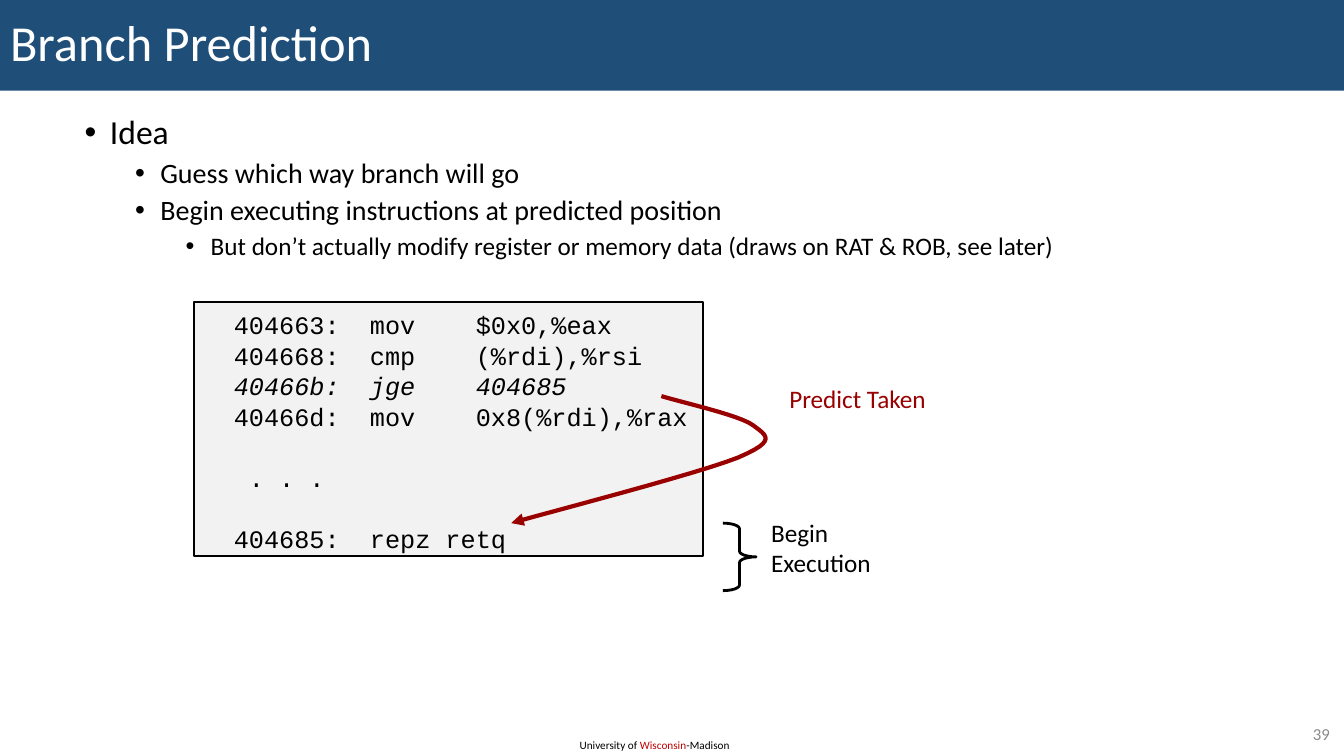
from lxml import etree
from pptx import Presentation
from pptx.dml.color import RGBColor
from pptx.enum.shapes import MSO_SHAPE
from pptx.enum.text import MSO_ANCHOR, MSO_AUTO_SIZE, PP_ALIGN
from pptx.oxml.ns import qn
from pptx.util import Pt

PX = 9144
BLACK = RGBColor(0x00, 0x00, 0x00)
WHITE = RGBColor(0xFF, 0xFF, 0xFF)
NAVY = RGBColor(0x1F, 0x4E, 0x79)
RED = RGBColor(0xC0, 0x00, 0x00)
MAROON = RGBColor(0x99, 0x00, 0x00)
GREY = RGBColor(0x8C, 0x8C, 0x8C)
PALE = RGBColor(0xF2, 0xF2, 0xF2)
SANS, MONO = "Calibri", "Courier New"
RECT, BRACE = MSO_SHAPE.RECTANGLE, MSO_SHAPE.RIGHT_BRACE
LEFT, RIGHT = PP_ALIGN.LEFT, PP_ALIGN.RIGHT
TOP, MIDDLE = MSO_ANCHOR.TOP, MSO_ANCHOR.MIDDLE
FIXED = MSO_AUTO_SIZE.NONE

IDEAS = [
    (0, 24, "Idea"),
    (1, 20, "Guess which way branch will go"),
    (1, 20, "Begin executing instructions at predicted position"),
    (2, 18, "But don’t actually modify register or memory data "
            "(draws on RAT & ROB, see later)"),
]
CODE = [
    ("  404663:  mov    $0x0,%eax", False, 0),
    ("  404668:  cmp    (%rdi),%rsi", False, 0),
    ("  40466b:  jge    404685", True, 0),
    ("  40466d:  mov    0x8(%rdi),%rax", False, 0),
    ("   . . .", False, 1),
    ("  404685:  repz retq", False, 1),
]
PITCH = 21.8
START = (507, 519)
CURVES = [
    [(545, 508), (692, 470), (732, 454)],
    [(772, 437), (760, 432), (747, 422)],
    [(734, 412), (675, 399), (656, 393)],
]
STEPS = 12


def place(shape, box):
    shape.left, shape.top, shape.width, shape.height = (v * PX for v in box)


def setup(frame, wrap=True, anchor=TOP):
    frame.auto_size = FIXED
    frame.word_wrap = wrap
    frame.vertical_anchor = anchor


def lines(frame, count):
    return [frame.paragraphs[0]] + [frame.add_paragraph() for _ in range(count - 1)]


def add_run(para, text, size, color=BLACK, font=SANS, italic=False):
    run = para.add_run()
    run.text = text
    run.font.size = Pt(size)
    run.font.name = font
    run.font.italic = italic
    run.font.color.rgb = color


def add_label(slide, box, rows, size, wrap=False, align=LEFT, anchor=TOP):
    frame = slide.shapes.add_textbox(*(v * PX for v in box)).text_frame
    setup(frame, wrap, anchor)
    for para, row in zip(lines(frame, len(rows)), rows):
        para.alignment = align
        for text, color in row:
            add_run(para, text, size, color)


def add_title(slide, text):
    title = slide.shapes.title
    place(title, (0, 0, 1333, 90))
    title.fill.solid()
    title.fill.fore_color.rgb = NAVY
    setup(title.text_frame, anchor=MIDDLE)
    para = title.text_frame.paragraphs[0]
    para.alignment = LEFT
    para.line_spacing = 0.9
    add_run(para, text, 36, WHITE)


def add_bullet(para, level):
    props = para._p.get_or_add_pPr()
    props.set("marL", str((25 + 50 * level) * PX))
    props.set("indent", str(-25 * PX))
    etree.SubElement(props, qn("a:buFont"), typeface="Arial")
    etree.SubElement(props, qn("a:buChar"), char="•")


def add_list(slide, items):
    body = slide.placeholders[1]
    place(body, (74, 110, 1259, 224))
    frame = body.text_frame
    setup(frame)
    for i, (para, item) in enumerate(zip(lines(frame, len(items)), items)):
        level, size, text = item
        add_bullet(para, level)
        para.level = level
        para.line_spacing = 0.9
        para.space_before = Pt(5 if i else 0)
        add_run(para, text, size)


def add_shape(slide, kind, box, width, fill=None):
    shape = slide.shapes.add_shape(kind, *(v * PX for v in box))
    shape.shadow.inherit = False
    if fill is None:
        shape.fill.background()
    else:
        shape.fill.solid()
        shape.fill.fore_color.rgb = fill
    shape.line.color.rgb = BLACK
    shape.line.width = Pt(width)
    return shape


def add_code(slide, box, rows):
    frame = add_shape(slide, RECT, box, 1.5, PALE).text_frame
    setup(frame)
    frame.margin_top = 7 * PX
    for para, row in zip(lines(frame, len(rows)), rows):
        text, italic, gap = row
        para.alignment = LEFT
        para.line_spacing = Pt(PITCH)
        para.space_before = Pt(PITCH * gap)
        add_run(para, text, 18, font=MONO, italic=italic)


def trace(start, curves):
    points = []
    for a, b, end in curves:
        for i in range(1, STEPS + 1):
            t = i / STEPS
            u = 1 - t
            points.append(tuple(
                round(PX * (u**3 * p + 3 * u * u * t * q + 3 * u * t * t * r + t**3 * s))
                for p, q, r, s in zip(start, a, b, end)))
        start = end
    return points


def add_arrow(slide, start, curves):
    pen = slide.shapes.build_freeform(*(v * PX for v in start))
    pen.add_line_segments(trace(start, curves), close=False)
    arrow = pen.convert_to_shape()
    arrow.shadow.inherit = False
    arrow.fill.background()
    arrow.line.color.rgb = MAROON
    arrow.line.width = Pt(3)
    line = arrow.line._get_or_add_ln()
    etree.SubElement(line, qn("a:round"))
    etree.SubElement(line, qn("a:headEnd"), type="triangle")


def main():
    deck = Presentation()
    deck.slide_width, deck.slide_height = 1333 * PX, 750 * PX
    slide = deck.slides.add_slide(deck.slide_layouts[1])
    school = [("University of ", BLACK), ("Wisconsin", RED), ("-Madison", BLACK)]
    add_label(slide, (565, 728, 172, 24), [school], 8)
    add_title(slide, "Branch Prediction")
    add_label(slide, (1253, 713, 76, 29), [[("39", GREY)]], 12, True, RIGHT, MIDDLE)
    add_list(slide, IDEAS)
    add_label(slide, (773, 375, 157, 40), [[("Predict Taken", MAROON)]], 18)
    brace = add_shape(slide, BRACE, (717, 519, 33, 67), 2)
    brace.adjustments[0] = 0.17
    add_label(slide, (755, 508, 120, 71), [[("Begin", BLACK)], [("Execution", BLACK)]], 18)
    add_code(slide, (192, 300, 505, 252), CODE)
    add_arrow(slide, START, CURVES)
    deck.save("out.pptx")


if __name__ == "__main__":
    main()
